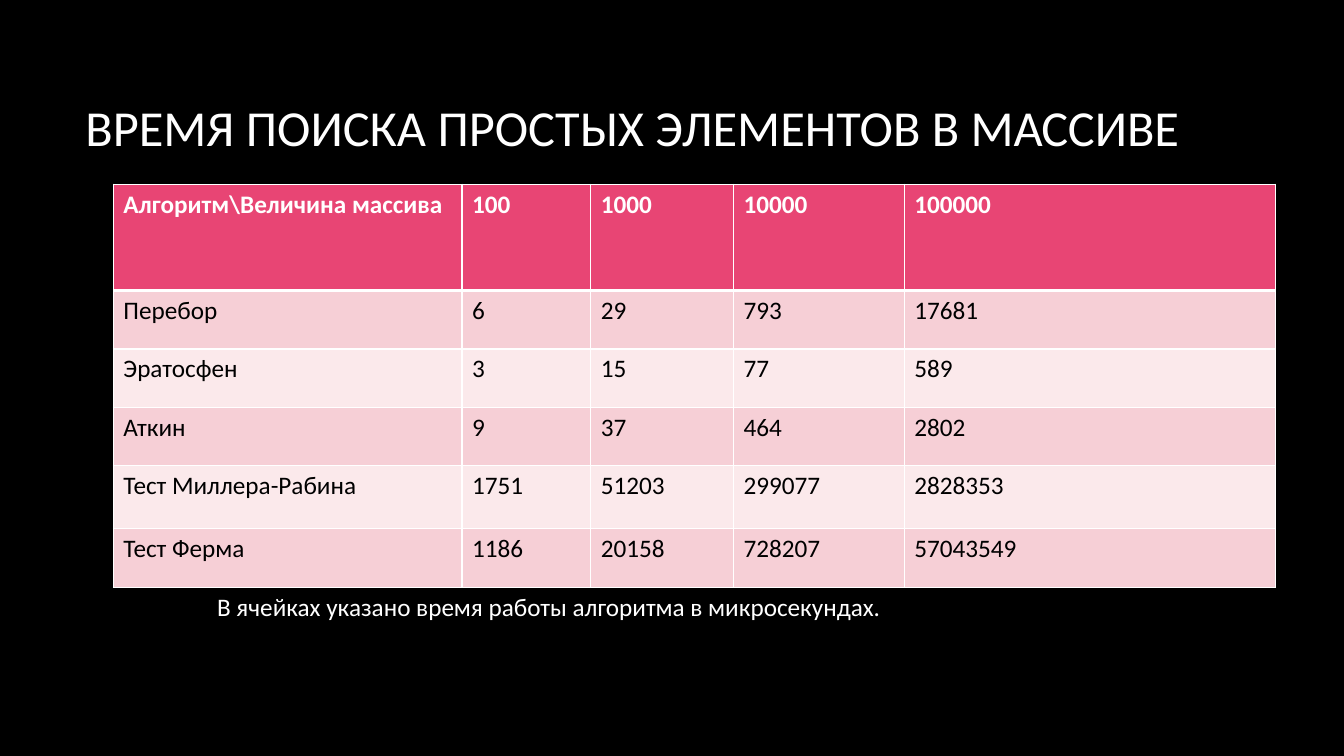
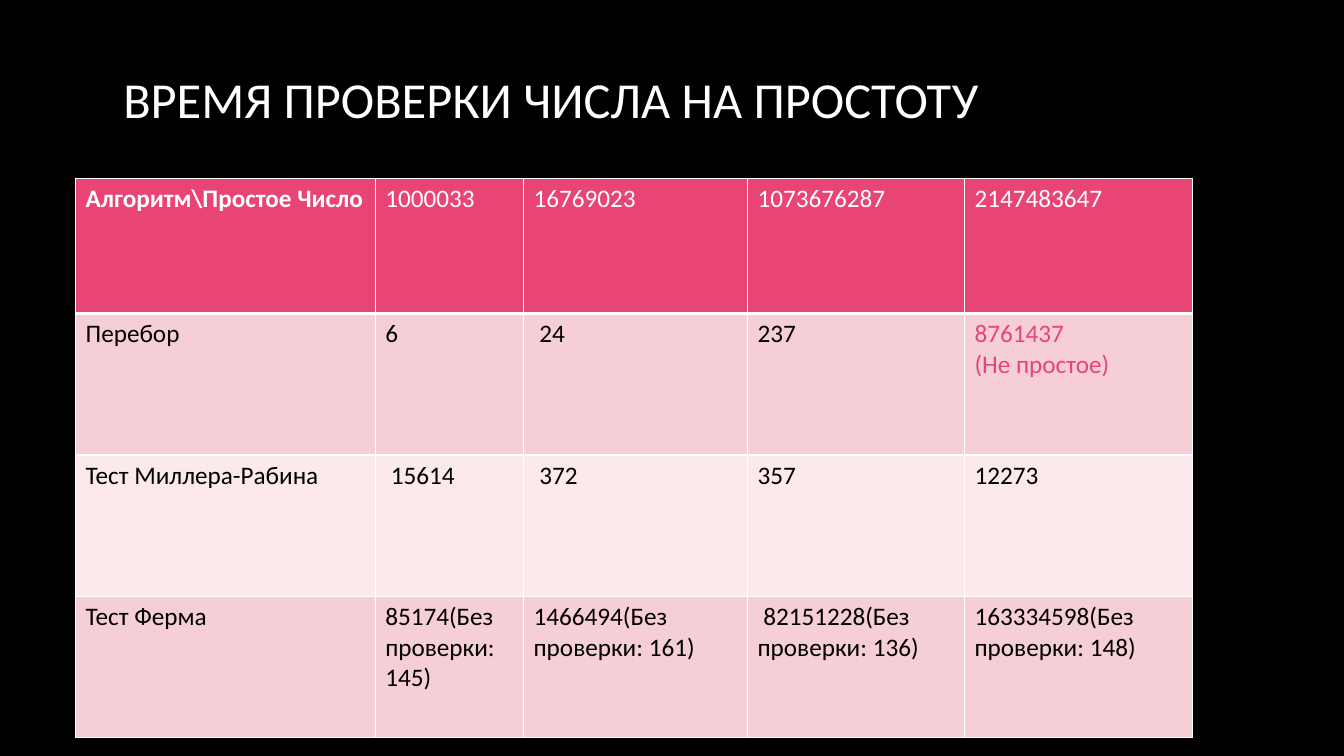
from dataclasses import dataclass

from pptx import Presentation
from pptx.dml.color import RGBColor as RGB
from pptx.enum.text import MSO_ANCHOR as Anchor, MSO_AUTO_SIZE as Fit
from pptx.oxml import parse_xml
from pptx.oxml.ns import nsdecls
from pptx.util import Pt


@dataclass(frozen=True)
class Theme:
    back: str = "000000"
    light: str = "FFFFFF"
    dark: str = "000000"
    accent: str = "E84574"
    bands: tuple = ("F6CFD6", "FBE9EB")
    face: str = "Calibri"
    title: int = 36
    body: int = 18
    thin: int = 1
    thick: int = 3


theme = Theme()


def style(frame, color, size=theme.body, bold=False):
    """Give every paragraph of a text frame the same font."""
    looks = {"name": theme.face, "size": Pt(size), "bold": bold}
    for para in frame.paragraphs:
        for run in para.runs:
            for key, value in looks.items():
                setattr(run.font, key, value)
            run.font.color.rgb = RGB.from_string(color)


def add_text(slide, box, text, size, **format):
    frame = slide.shapes.add_textbox(*map(Pt, box)).text_frame
    frame.text = text
    for key, value in ({"word_wrap": True} | format).items():
        setattr(frame, key, value)
    style(frame, theme.light, size)


pages = [
    {
        "title": "ВРЕМЯ ПОИСКА ПРОСТЫХ ЭЛЕМЕНТОВ В МАССИВЕ",
        "box": (54, 49, 798, 82),
        "at": (81, 131.5),
        "cols": (249, 92, 102, 122, 265),
        "rows": (76, 41.75, 41.75, 41.75, 45, 41.75),
        "bold": 5,
        "marked": [],
        "cells": [
            ["Алгоритм\\Величина массива", "100", "1000", "10000", "100000"],
            ["Перебор", "6", "29", "793", "17681"],
            ["Эратосфен", "3", "15", "77", "589"],
            ["Аткин", "9", "37", "464", "2802"],
            ["Тест Миллера-Рабина", "1751", "51203", "299077", "2828353"],
            ["Тест Ферма", "1186", "20158", "728207", "57043549"],
        ],
        "note": "В ячейках указано время работы алгоритма в микросекундах.",
    },
    {
        "title": "ВРЕМЯ ПРОВЕРКИ ЧИСЛА НА ПРОСТОТУ",
        "box": (81, 13, 742, 115),
        "at": (54, 127.5),
        "cols": (214, 106, 160, 155, 163),
        "rows": (96.5, 101, 101, 101),
        "bold": 1,
        "marked": [(1, 4)],
        "cells": [
            ["Алгоритм\\Простое Число", "1000033", "16769023", "1073676287", "2147483647"],
            ["Перебор", "6", " 24", "237", "8761437\n(Не простое)"],
            ["Тест Миллера-Рабина", " 15614", " 372", "357", "12273"],
            ["Тест Ферма", "85174(Без проверки: 145)", "1466494(Без проверки: 161)",
             " 82151228(Без проверки: 136)", "163334598(Без проверки: 148)"],
        ],
        "note": None,
    },
]

deck = Presentation()
deck.slide_width, deck.slide_height = Pt(960), Pt(540)

for page in pages:
    slide = deck.slides.add_slide(deck.slide_layouts[6])
    back = slide.background.fill
    back.solid()
    back.fore_color.rgb = RGB.from_string(theme.back)
    add_text(slide, page["box"], page["title"], theme.title,
             vertical_anchor=Anchor.MIDDLE)

    cols, rows = page["cols"], page["rows"]
    area = (*page["at"], sum(cols), sum(rows))
    table = slide.shapes.add_table(len(rows), len(cols), *map(Pt, area)).table
    table.first_row = table.horz_banding = False
    for col, width in zip(table.columns, cols):
        col.width = Pt(width)
    for row, height in zip(table.rows, rows):
        row.height = Pt(height)

    for r, line in enumerate(page["cells"]):
        head = r == 0
        edges = {"L": theme.thin, "R": theme.thin,
                 "T": theme.thick if r == 1 else theme.thin,
                 "B": theme.thick if head else theme.thin}
        for c, text in enumerate(line):
            cell = table.cell(r, c)
            for side, width in edges.items():
                cell._tc.get_or_add_tcPr().append(parse_xml(
                    f'<a:ln{side} {nsdecls("a")} w="{Pt(width)}"><a:solidFill>'
                    f'<a:srgbClr val="{theme.light}"/></a:solidFill></a:ln{side}>'))
            cell.fill.solid()
            cell.fill.fore_color.rgb = RGB.from_string(
                theme.accent if head else theme.bands[(r - 1) % 2])
            cell.text_frame.text = text
            ink = theme.light if head else theme.dark
            if (r, c) in page["marked"]:
                ink = theme.accent
            style(cell.text_frame, ink, bold=head and c < page["bold"])

    if page["note"]:
        add_text(slide, (148, 419, 610, 29), page["note"], theme.body,
                 auto_size=Fit.SHAPE_TO_FIT_TEXT)

deck.save("out.pptx")
